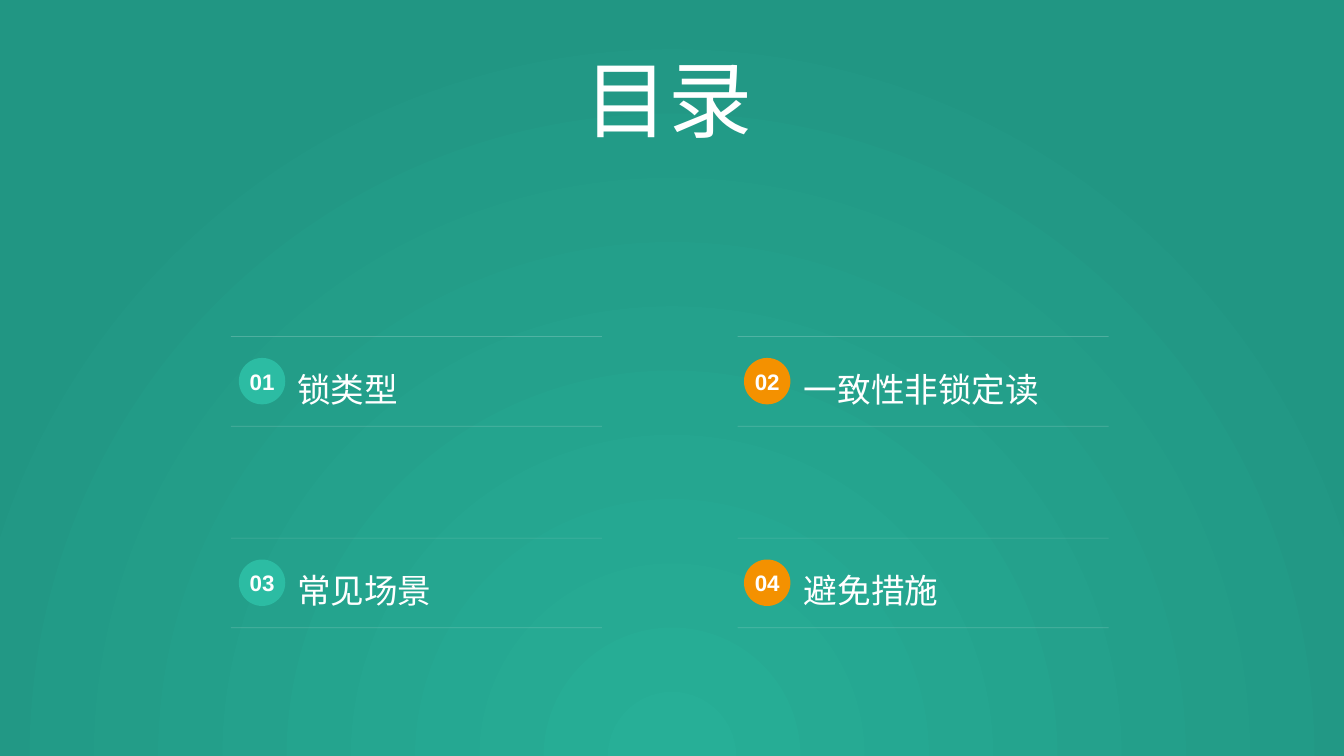
from lxml.etree import SubElement
from pptx import Presentation
from pptx.dml.color import RGBColor
from pptx.enum.shapes import MSO_CONNECTOR, MSO_SHAPE
from pptx.enum.text import MSO_ANCHOR, PP_ALIGN
from pptx.oxml.ns import qn
from pptx.util import Cm, Pt

WHITE = RGBColor(0xFF, 0xFF, 0xFF)
GLOW_GREEN = RGBColor(0x27, 0xAF, 0x97)
EDGE_GREEN = RGBColor(0x21, 0x96, 0x83)
MINT = RGBColor(0x2C, 0xBC, 0xA3)
ORANGE = RGBColor(0xF4, 0x91, 0x00)

LATIN_FONT = "Arial"
CHINESE_FONT = "Noto Sans CJK SC"

TOPICS = ["锁类型", "一致性非锁定读", "常见场景", "避免措施"]

# Each column: left end of its rules, left edge of its badges, badge colour
COLUMNS = [(Cm(5.82), Cm(6.02), MINT), (Cm(18.59), Cm(18.75), ORANGE)]
FIRST_ROW_TOP = Cm(8.48)
ROW_STEP = Cm(5.08)
RULE_LENGTH = Cm(9.35)
RULE_GAP = Cm(2.26)
BADGE_SIZE = Cm(1.17)


def write(shape, text, size, font_name):
    """Fill the shape with one white paragraph and return it."""
    para = shape.text_frame.paragraphs[0]
    para.text = text
    para.font.size = Pt(size)
    para.font.name = font_name
    para.font.color.rgb = WHITE
    SubElement(para.font._element, qn("a:ea"), typeface=font_name)
    return para


deck = Presentation()
deck.slide_width, deck.slide_height = Cm(33.87), Cm(19.05)
page = deck.slides.add_slide(deck.slide_layouts[6])

# Radial glow centred below the bottom edge
background = page.background.fill
background.gradient()
for stop, color in zip(background.gradient_stops, (GLOW_GREEN, EDGE_GREEN)):
    stop.color.rgb = color
gradient = page._element.find(".//" + qn("a:gradFill"))
gradient.remove(gradient.find(qn("a:lin")))
glow = SubElement(gradient, qn("a:path"), path="circle")
SubElement(glow, qn("a:fillToRect"), l="50000", t="130000", r="50000", b="-30000")

title = page.shapes.add_textbox(Cm(14.48), Cm(1.07), Cm(4.78), Cm(2.82))
title.text_frame.word_wrap = True
write(title, "目录", 60, LATIN_FONT)

# Topics run left to right, then down
for index, topic in enumerate(TOPICS):
    row, column = divmod(index, len(COLUMNS))
    rule_left, badge_left, badge_color = COLUMNS[column]
    top = FIRST_ROW_TOP + row * ROW_STEP

    # Faint rules above and below the topic
    for rule_top in (top, top + RULE_GAP):
        rule = page.shapes.add_connector(
            MSO_CONNECTOR.STRAIGHT, rule_left, rule_top, rule_left + RULE_LENGTH, rule_top)
        rule.line.width = Pt(0.5)
        rule.line.color.rgb = WHITE
        rule_color = rule._element.find(".//" + qn("a:srgbClr"))
        SubElement(rule_color, qn("a:alpha"), val="20000")
        SubElement(rule._element.spPr, qn("a:effectLst"))

    # Numbered badge
    badge = page.shapes.add_shape(
        MSO_SHAPE.OVAL, badge_left, top + Cm(0.54), BADGE_SIZE, BADGE_SIZE)
    badge.shadow.inherit = False
    badge.fill.solid()
    badge.fill.fore_color.rgb = badge_color
    badge.line.fill.background()
    frame = badge.text_frame
    frame.margin_left = frame.margin_right = frame.margin_top = frame.margin_bottom = 0
    frame.word_wrap = False
    frame.vertical_anchor = MSO_ANCHOR.MIDDLE
    number = write(badge, f"{index + 1:02}", 16, LATIN_FONT)
    number.font.bold = True
    number.alignment = PP_ALIGN.CENTER

    # Topic name
    label = page.shapes.add_textbox(rule_left + Cm(1.42), top + Cm(0.38), Cm(8.41), Cm(1.6))
    label.text_frame.word_wrap = True
    write(label, topic, 24, CHINESE_FONT).line_spacing = 1.3

deck.save("out.pptx")
